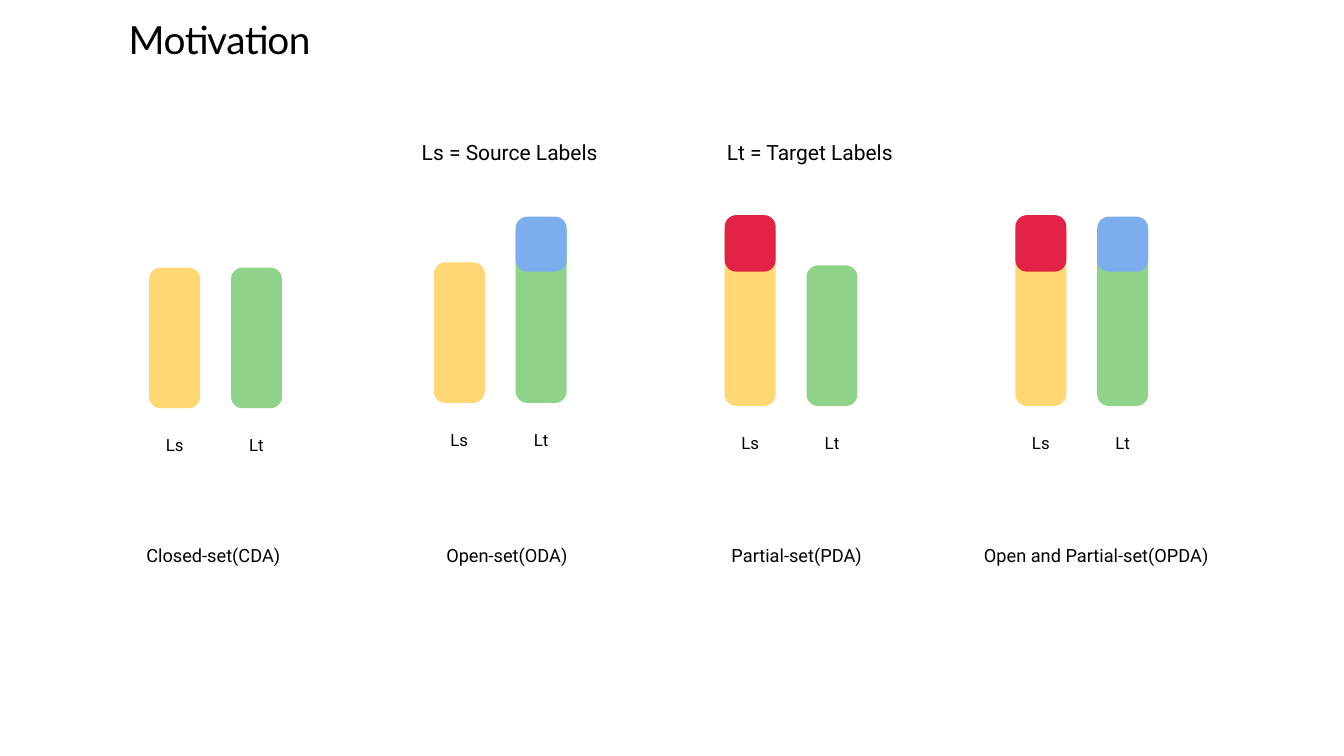
from lxml import etree
from pptx import Presentation
from pptx import util as u
from pptx.dml.color import RGBColor
from pptx.enum import shapes, text
from pptx.oxml.ns import qn

WIDE, HIGH = 26.67, 15
COLS, ROWS = 100, 100
INK = {"text": "000000", "source": "FFBD16", "target": "45B43B",
       "open": "7CADED", "part": "E22146"}
BAR, PITCH, SHORT, TALL = 3.79, 6.09, 18.6, 24.4
SEAM, LINE = 35.93, 4.47
SETS = [
    ("Closed-set(CDA)", 11.1, 54, False, False, (10.35, 11.06)),
    ("Open-set(ODA)", 32.28, 53.3, False, True, (32.62, 10.2)),
    ("Partial-set(PDA)", 53.92, 53.7, True, False, (54.03, 10.5)),
    ("Open and Partial-set(OPDA)", 75.55, 53.7, True, True, (72.52, 18.11)),
]
KEYS = [("Ls = Source Labels", 31.08, 13.69),
        ("Lt = Target Labels", 53.58, 13.35)]


def grid(x, y, w, h):
    col, row = WIDE / COLS, HIGH / ROWS
    return [u.Inches(n) for n in (x * col, y * row, w * col, h * row)]


def write(frame, words, size, font, align, anchor, space, wrap=True):
    frame.word_wrap = wrap
    frame.auto_size = text.MSO_AUTO_SIZE.NONE
    frame.vertical_anchor = anchor
    for side in ("left", "right", "top", "bottom"):
        setattr(frame, "margin_" + side, u.Inches(0.06))
    para = frame.paragraphs[0]
    para.alignment, para.line_spacing = align, space
    run = para.add_run()
    run.text = words
    run.font.size, run.font.name = u.Pt(size), font
    run.font.color.rgb = RGBColor.from_string(INK["text"])
    return run


def label(slide, box, words, size, wrap=True):
    item = slide.shapes.add_textbox(*grid(*box))
    write(item.text_frame, words, size, "Roboto", text.PP_ALIGN.CENTER,
          text.MSO_ANCHOR.MIDDLE, 0.9, wrap)


def block(slide, box, tint, alpha=None):
    item = slide.shapes.add_shape(
        shapes.MSO_SHAPE.ROUNDED_RECTANGLE, *grid(*box))
    item.shadow.inherit = False
    item.adjustments[0] = 0.227
    item.fill.solid()
    item.fill.fore_color.rgb = RGBColor.from_string(INK[tint])
    item.line.fill.background()
    if alpha:
        shade = item.fill._xPr.find(".//" + qn("a:srgbClr"))
        etree.SubElement(shade, qn("a:alpha")).set("val", str(alpha * 1000))


def bar(slide, left, base, name, tint, cap, rise):
    tall = TALL if cap else SHORT
    block(slide, (left, base - tall, BAR, tall), tint, 60)
    if cap:
        block(slide, (left, SEAM - rise, BAR, rise), cap)
    wide = 1.99
    label(slide, (left + (BAR - wide) / 2, base + 2.8, wide, LINE), name, 24)


def pair(slide, name, left, base, part, fresh, span):
    bar(slide, left, base, "Ls", "source", "part" if part else None, 7.47)
    bar(slide, left + PITCH, base, "Lt", "target",
        "open" if fresh else None, 7.27)
    label(slide, (span[0], 71.33, span[1], LINE), name, 26)


def head(slide, box, words):
    title = slide.shapes.title
    title.left, title.top, title.width, title.height = grid(*box)
    run = write(title.text_frame, words, 55.4, "Lato", text.PP_ALIGN.LEFT,
                text.MSO_ANCHOR.TOP, 0.8)
    run.font._element.set("spc", "-60")


def main():
    deck = Presentation()
    deck.slide_width, deck.slide_height = u.Inches(WIDE), u.Inches(HIGH)
    slide = deck.slides.add_slide(deck.slide_layouts.get_by_name("Title Only"))
    head(slide, (9.34, 2.87, 14.59, 8.67), "Motivation")
    for words, left, wide in KEYS:
        label(slide, (left, 17.87, wide, 4.87), words, 30, False)
    for item in SETS:
        pair(slide, *item)
    deck.save("out.pptx")


if __name__ == "__main__":
    main()
